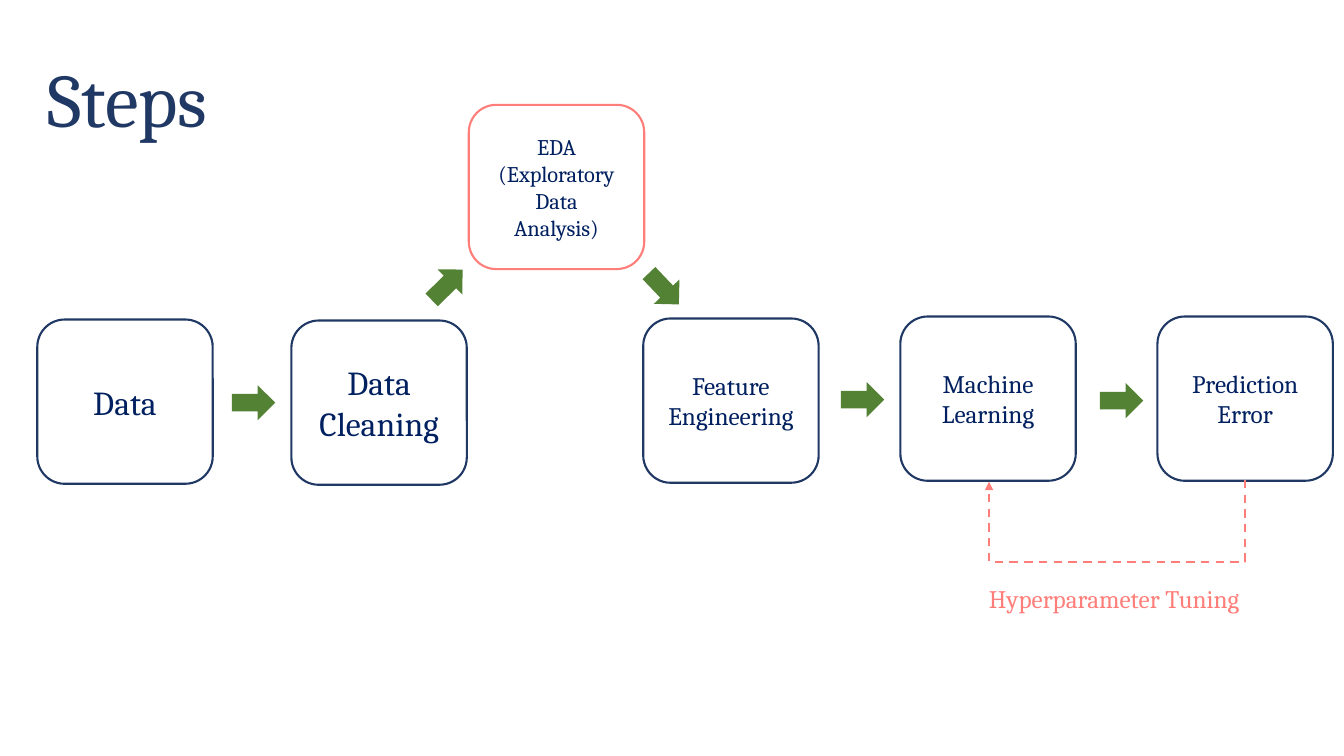
import lxml.etree
import pptx
import pptx.dml.color
import pptx.enum.dml
import pptx.enum.shapes
import pptx.enum.text
import pptx.oxml.ns
import pptx.util

PX = 9144
FONT = "Cambria"
COLORS = {
    "title": "203864",
    "border": "203864",
    "text": "002060",
    "accent": "FF7E79",
    "arrow": "548235",
}
SLIDE_SIZE = (1333, 750)
STEP_SIZE = (174, 163)
ARROW_SIZE = (43, 35)

TITLE = ("Steps", (37, 30, 1150, 145), 54)
STEPS = [
    (["Data"], 37, 317, 24, "border"),
    (["Data Cleaning"], 289, 318, 24, "border"),
    (["EDA", "(Exploratory", "Data", "Analysis)"], 465, 104, 16, "accent"),
    (["Feature", "Engineering"], 638, 316, 18, "border"),
    (["Machine", "Learning"], 893, 314, 18, "border"),
    (["Prediction", "Error"], 1148, 314, 18, "border"),
]
ARROWS = [
    (230, 382, 0),
    (834, 379, 0),
    (1091, 380, 0),
    (422, 265, 315.5),
    (637, 269, 46.4),
]
LOOP = {"start": (1235, 476), "end": (981, 478), "bottom": 557}
LOOP_LABEL = ("Hyperparameter Tuning", (971, 574, 282, 40), 18)


def px(*lengths):
    return [pptx.util.Emu(round(length * PX)) for length in lengths]


def color(name):
    return pptx.dml.color.RGBColor.from_string(COLORS[name])


def write(frame, lines, size, color_name, alignment):
    for index, line in enumerate(lines):
        paragraph = frame.paragraphs[0] if index == 0 else frame.add_paragraph()
        paragraph.alignment = alignment
        run = paragraph.add_run()
        run.text = line
        run.font.name = FONT
        run.font.size = pptx.util.Pt(size)
        run.font.color.rgb = color(color_name)


def add_text(slide, text, box, size, color_name):
    frame = slide.shapes.add_textbox(*px(*box)).text_frame
    write(frame, [text], size, color_name, pptx.enum.text.PP_ALIGN.LEFT)
    return frame


def add_step(slide, lines, left, top, size, border):
    shape = slide.shapes.add_shape(
        pptx.enum.shapes.MSO_SHAPE.ROUNDED_RECTANGLE, *px(left, top, *STEP_SIZE))
    shape.shadow.inherit = False
    shape.fill.background()
    shape.line.color.rgb = color(border)
    shape.line.width = pptx.util.Pt(1.5)
    frame = shape.text_frame
    frame.word_wrap = True
    frame.vertical_anchor = pptx.enum.text.MSO_ANCHOR.MIDDLE
    write(frame, lines, size, "text", pptx.enum.text.PP_ALIGN.CENTER)


def add_arrow(slide, left, top, rotation):
    shape = slide.shapes.add_shape(
        pptx.enum.shapes.MSO_SHAPE.RIGHT_ARROW, *px(left, top, *ARROW_SIZE))
    shape.shadow.inherit = False
    shape.rotation = rotation
    shape.fill.solid()
    shape.fill.fore_color.rgb = color("arrow")
    shape.line.fill.background()


def add_loop(slide, start, end, bottom):
    center_x, center_y = (start[0] + end[0]) / 2, (start[1] + end[1]) / 2
    drop, span = end[1] - start[1], start[0] - end[0]
    connector = slide.shapes.add_connector(
        pptx.enum.shapes.MSO_CONNECTOR.ELBOW,
        *px(center_x - drop / 2, center_y - span / 2,
            center_x + drop / 2, center_y + span / 2))
    connector.line.color.rgb = color("accent")
    connector.line.width = pptx.util.Pt(1.5)
    connector.line.dash_style = pptx.enum.dml.MSO_LINE.DASH

    qn = pptx.oxml.ns.qn
    properties = connector._element.spPr
    properties.find(qn("a:xfrm")).set("rot", str(90 * 60000))
    adjustments = properties.find(qn("a:prstGeom")).get_or_add_avLst()
    bend = round((bottom - start[1]) / drop * 100000)
    lxml.etree.SubElement(adjustments, qn("a:gd"), name="adj1", fmla=f"val {bend}")
    lxml.etree.SubElement(properties.find(qn("a:ln")), qn("a:tailEnd"), type="triangle")
    lxml.etree.SubElement(properties, qn("a:effectLst"))


def main():
    presentation = pptx.Presentation()
    presentation.slide_width, presentation.slide_height = px(*SLIDE_SIZE)
    slide = presentation.slides.add_slide(presentation.slide_layouts[6])

    title = add_text(slide, *TITLE, "title")
    title.word_wrap = True
    title.vertical_anchor = pptx.enum.text.MSO_ANCHOR.MIDDLE
    title.paragraphs[0].line_spacing = 0.9

    for step in STEPS:
        add_step(slide, *step)
    for arrow in ARROWS:
        add_arrow(slide, *arrow)
    add_loop(slide, **LOOP)

    label = add_text(slide, *LOOP_LABEL, "accent")
    label.word_wrap = False
    label.auto_size = pptx.enum.text.MSO_AUTO_SIZE.SHAPE_TO_FIT_TEXT

    presentation.save("out.pptx")


if __name__ == "__main__":
    main()
